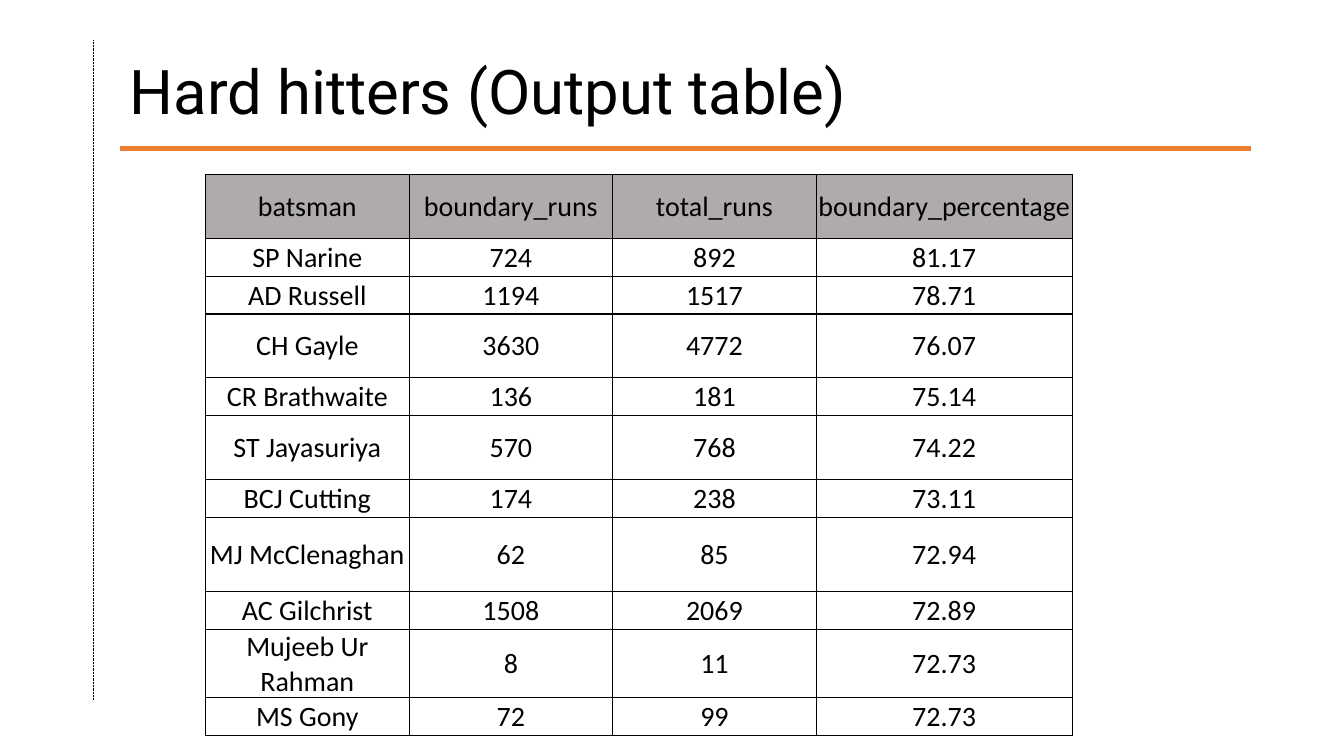
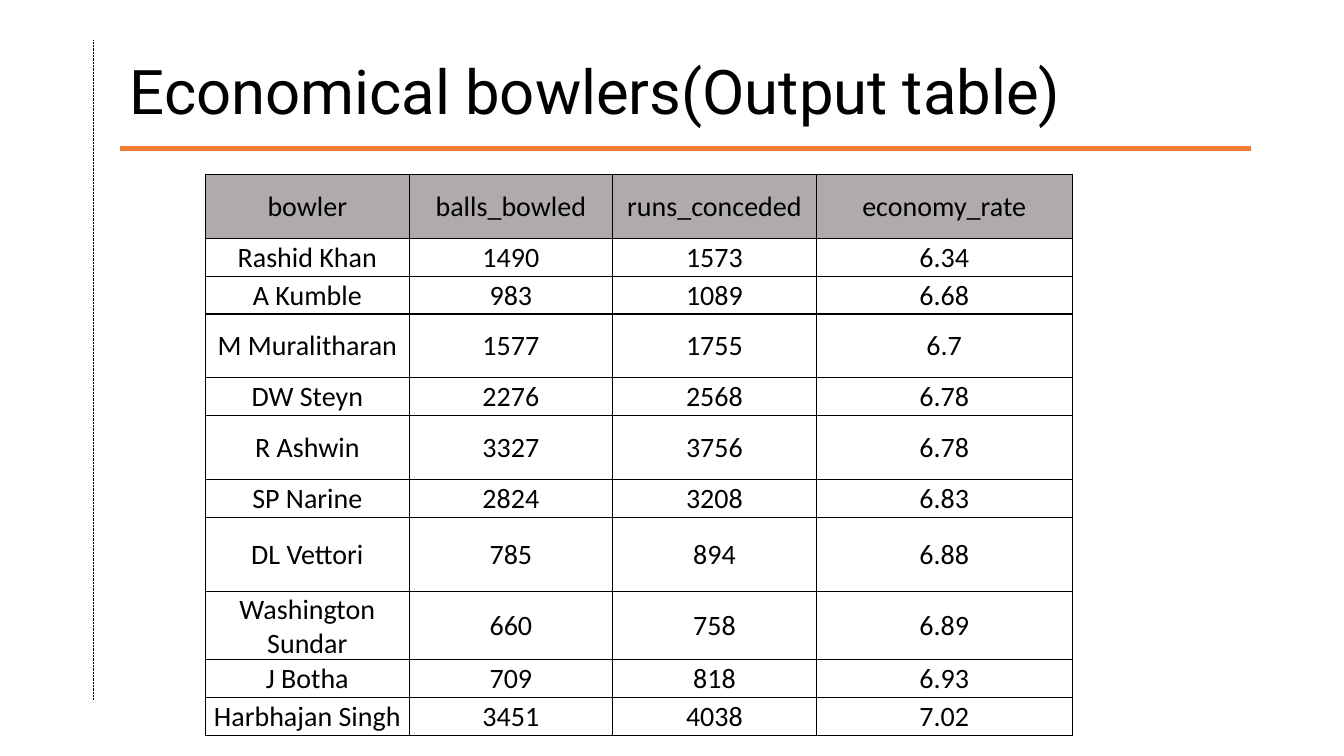
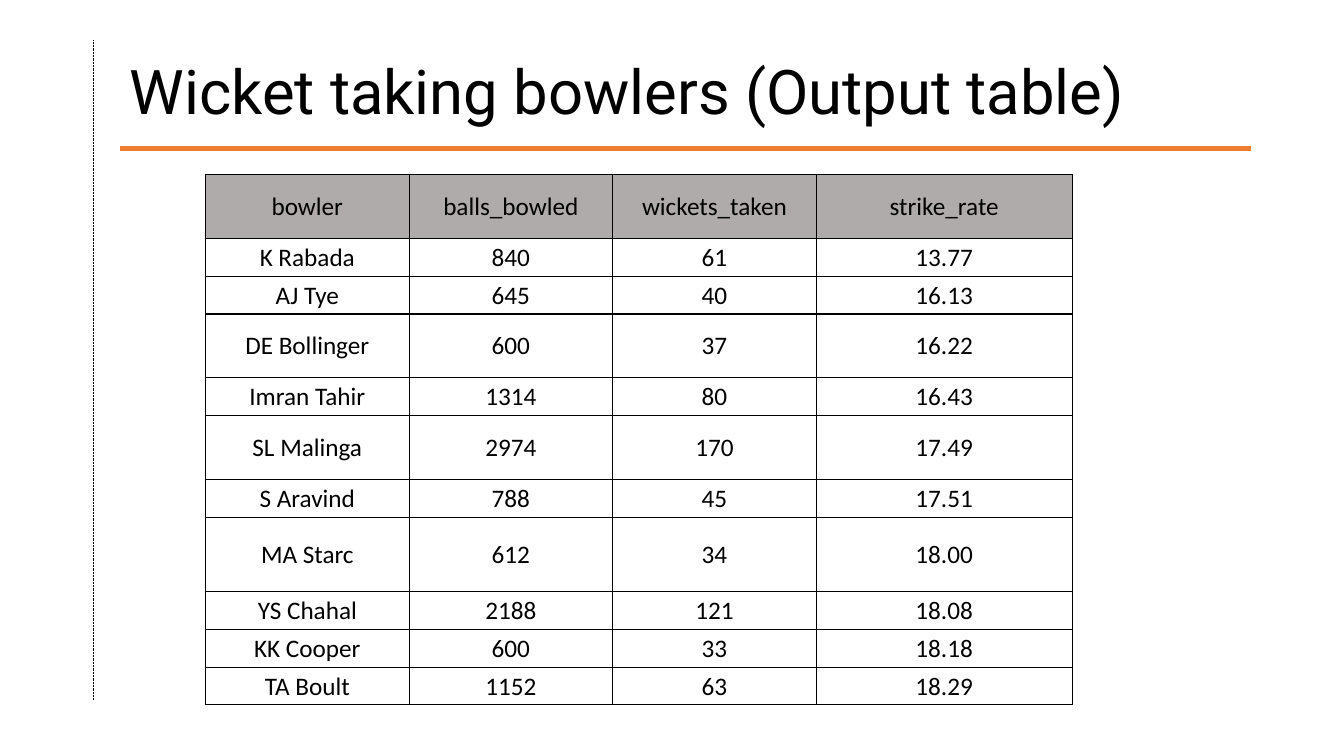
import pptx
import pptx.util
import pptx.dml.color
import pptx.enum.dml
import pptx.enum.shapes
import pptx.enum.text
import pptx.oxml
import pptx.oxml.ns

Cm = pptx.util.Cm
Pt = pptx.util.Pt
MIDDLE = pptx.enum.text.MSO_ANCHOR.MIDDLE
BLACK, ORANGE, GREY = "000000", "ED7D31", "AFABAB"

HITTERS = """batsman|boundary_runs|total_runs|boundary_percentage
SP Narine|724|892|81.17
AD Russell|1194|1517|78.71
CH Gayle|3630|4772|76.07
CR Brathwaite|136|181|75.14
ST Jayasuriya|570|768|74.22
BCJ Cutting|174|238|73.11
MJ McClenaghan|62|85|72.94
AC Gilchrist|1508|2069|72.89
Mujeeb Ur Rahman|8|11|72.73
MS Gony|72|99|72.73"""

SAVERS = """bowler|balls_bowled|runs_conceded|economy_rate
Rashid Khan|1490|1573|6.34
A Kumble|983|1089|6.68
M Muralitharan|1577|1755|6.7
DW Steyn|2276|2568|6.78
R Ashwin|3327|3756|6.78
SP Narine|2824|3208|6.83
DL Vettori|785|894|6.88
Washington Sundar|660|758|6.89
J Botha|709|818|6.93
Harbhajan Singh|3451|4038|7.02"""

TAKERS = """bowler|balls_bowled|wickets_taken|strike_rate
K Rabada|840|61|13.77
AJ Tye|645|40|16.13
DE Bollinger|600|37|16.22
Imran Tahir|1314|80|16.43
SL Malinga|2974|170|17.49
S Aravind|788|45|17.51
MA Starc|612|34|18.00
YS Chahal|2188|121|18.08
KK Cooper|600|33|18.18
TA Boult|1152|63|18.29"""

PAGES = [
    ("Hard hitters (Output table)", HITTERS, 20),
    ("Economical bowlers(Output table)", SAVERS, 20),
    ("Wicket taking bowlers (Output table)", TAKERS, 18),
]


def tint(code):
    return pptx.dml.color.RGBColor.from_string(code)


def node(tag, inner="", attrs=""):
    space = pptx.oxml.ns.nsdecls("a")
    return pptx.oxml.parse_xml(f"<a:{tag} {space} {attrs}>{inner}</a:{tag}>")


def apply(target, style):
    for name, value in style.items():
        setattr(target, name, value)


class Deck:
    wide = [5.13, 5.13, 5.13, 6.45]
    high = [1.61, 0.95, 0.95, 1.61, 0.95, 1.61, 0.95, 1.88, 0.95, 0.95, 0.95]
    head = {"name": "Roboto", "size": Pt(44)}
    frame = {"word_wrap": True, "vertical_anchor": MIDDLE}
    cell = {
        "vertical_anchor": MIDDLE,
        "margin_left": Cm(0.02),
        "margin_right": Cm(0.02),
        "margin_top": Cm(0.02),
        "margin_bottom": 0,
    }
    plain = {"first_row": False, "horz_banding": False}
    shade = (
        '<a:outerShdw blurRad="38100" dist="38100" dir="2700000" algn="tl">'
        '<a:srgbClr val="000000"><a:alpha val="43000"/></a:srgbClr></a:outerShdw>'
    )
    edge = f'<a:solidFill><a:srgbClr val="{BLACK}"/></a:solidFill>'

    def __init__(self):
        self.show = pptx.Presentation()
        apply(self.show, {"slide_width": Cm(33.87), "slide_height": Cm(19.05)})

    def page(self):
        self.slide = self.show.slides.add_slide(self.show.slide_layouts[6])
        self.line(2.35, 1.02, 2.35, 17.65, BLACK, 0.5,
                  pptx.enum.dml.MSO_LINE.ROUND_DOT)
        self.line(3.02, 3.74, 31.52, 3.74, ORANGE, 3)

    def line(self, left, top, right, low, code, width, dash=None):
        rule = self.slide.shapes.add_connector(
            pptx.enum.shapes.MSO_CONNECTOR.STRAIGHT,
            Cm(left), Cm(top), Cm(right), Cm(low))
        rule.line.color.rgb = tint(code)
        apply(rule.line, {"width": Pt(width), "dash_style": dash})
        rule._element.spPr.append(node("effectLst"))

    def title(self, words):
        box = self.slide.shapes.add_textbox(Cm(3.02), Cm(1.02), Cm(28.5), Cm(2.72))
        apply(box.text_frame, self.frame)
        para = box.text_frame.paragraphs[0]
        para.line_spacing = 0.9
        run = para.add_run()
        run.text = words
        run._r.get_or_add_rPr().append(node("effectLst", self.shade))
        apply(run.font, self.head)
        run.font.color.rgb = tint(BLACK)

    def table(self, data, size):
        rows = [line.split("|") for line in data.splitlines()]
        grid = self.slide.shapes.add_table(
            len(rows), len(self.wide), Cm(5.18), Cm(4.4),
            Cm(sum(self.wide)), Cm(sum(self.high))).table
        apply(grid, self.plain)
        for col, width in zip(grid.columns, self.wide):
            col.width = Cm(width)
        for row, height in zip(grid.rows, self.high):
            row.height = Cm(height)
        for down, row in enumerate(rows):
            for across, words in enumerate(row):
                self.fill(grid.cell(down, across), words, size, down == 0)

    def fill(self, cell, words, size, first):
        apply(cell, self.cell)
        para = cell.text_frame.paragraphs[0]
        para.alignment = pptx.enum.text.PP_ALIGN.CENTER
        run = para.add_run()
        run.text = words
        apply(run.font, {"name": "Calibri", "size": Pt(size), "bold": False})
        run.font.color.rgb = tint(BLACK)
        for side in "LRTB":
            cell._tc.get_or_add_tcPr().append(
                node(f"ln{side}", self.edge, f'w="{Pt(1)}"'))
        if first:
            cell.fill.solid()
            cell.fill.fore_color.rgb = tint(GREY)
        else:
            cell.fill.background()


def main():
    deck = Deck()
    for words, data, size in PAGES:
        deck.page()
        deck.title(words)
        deck.table(data, size)
    deck.show.save("out.pptx")


if __name__ == "__main__":
    main()
